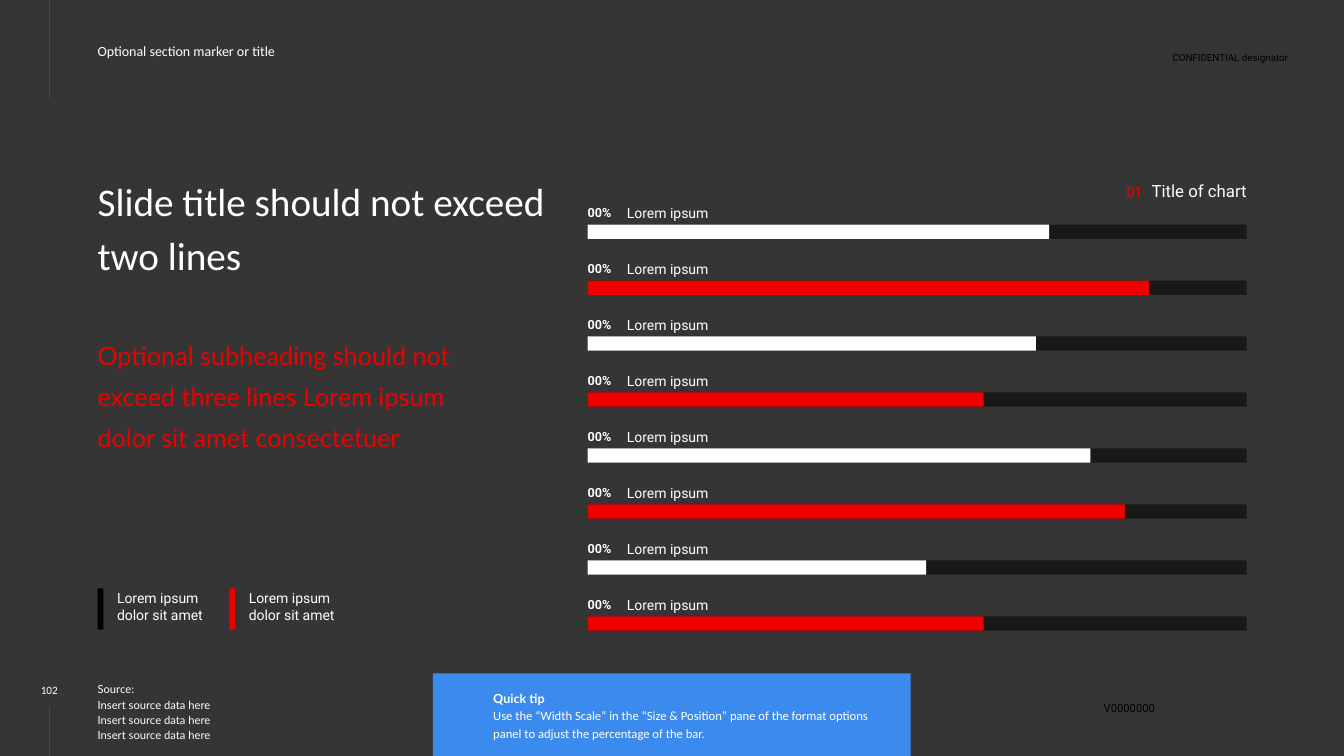
import pptx
import pptx.util
import pptx.dml.color
import pptx.enum.shapes
import pptx.enum.text
import pptx.oxml
import pptx.oxml.ns
import lxml.etree

Cm = pptx.util.Cm
Pt = pptx.util.Pt
RGBColor = pptx.dml.color.RGBColor
ALIGN = pptx.enum.text.PP_ALIGN
ANCHOR = pptx.enum.text.MSO_ANCHOR

BACKGROUND = RGBColor(0x35, 0x35, 0x35)
TRACK = RGBColor(0x19, 0x19, 0x19)
RULE = RGBColor(0x4A, 0x4A, 0x4A)
RED = RGBColor(0xEE, 0x00, 0x00)
BLUE = RGBColor(0x3C, 0x8F, 0xF7)
WHITE = RGBColor(0xFF, 0xFF, 0xFF)
BLACK = RGBColor(0x00, 0x00, 0x00)

deck = pptx.Presentation()
deck.slide_width, deck.slide_height = Cm(33.87), Cm(19.05)
page = deck.slides.add_slide(deck.slide_layouts[5])
page.background.fill.solid()
page.background.fill.fore_color.rgb = BACKGROUND


def write(place, text, size, font="Roboto", color=WHITE, bold=False, align=ALIGN.LEFT,
          anchor=ANCHOR.MIDDLE, spacing=1.0, insets=(0, 0, 0, 0), box=None):
    """Fill a box, by default a new text box, with one paragraph per line of text."""
    left, top, width, height = [Cm(length) for length in place]
    if box is None:
        box = page.shapes.add_textbox(left, top, width, height)
    box.left, box.top, box.width, box.height = left, top, width, height
    frame = box.text_frame
    frame.word_wrap = True
    frame.auto_size = pptx.enum.text.MSO_AUTO_SIZE.NONE
    frame.vertical_anchor = anchor
    (frame.margin_left, frame.margin_top,
     frame.margin_right, frame.margin_bottom) = [Cm(inset) for inset in insets]
    frame.text = text
    for para in frame.paragraphs:
        para.alignment = align
        para.line_spacing = spacing
        para.font.name, para.font.size = font, Pt(size)
        para.font.bold, para.font.color.rgb = bold, color
    return box


def add_bar(left, top, width, height, color):
    bar = page.shapes.add_shape(pptx.enum.shapes.MSO_SHAPE.RECTANGLE,
                                Cm(left), Cm(top), Cm(width), Cm(height))
    bar.shadow.inherit = False
    bar.fill.solid()
    bar.fill.fore_color.rgb = color
    bar.line.fill.background()
    return bar


# Margin rules
for start, end in ((0, 2.46), (17.78, 19.05)):
    rule = page.shapes.add_connector(pptx.enum.shapes.MSO_CONNECTOR.STRAIGHT,
                                     Cm(1.24), Cm(start), Cm(1.24), Cm(end))
    rule.line.color.rgb = RULE
    rule.line.width = Pt(0.75)
    lxml.etree.SubElement(rule._element.spPr, pptx.oxml.ns.qn("a:effectLst"))

# Header and footer
write((26.87, 0.76, 5.59, 0.84), "CONFIDENTIAL designator", 7, color=BLACK,
      align=ALIGN.RIGHT, anchor=ANCHOR.BOTTOM, spacing=1.5)
write((27.08, 17.53, 2.03, 0.64), "V0000000", 8, color=BLACK, align=ALIGN.RIGHT)
write((2.46, 0.15, 13.08, 2.26), "Optional section marker or title", 10, "Calibri")
write((0.23, 17.15, 2.03, 0.41), "102", 8, "Calibri", align=ALIGN.CENTER, anchor=ANCHOR.BOTTOM)
write((2.46, 17.15, 8, 1.55), "\n".join(["Source:"] + ["Insert source data here"] * 3), 8, "Lato",
      anchor=ANCHOR.BOTTOM, spacing=1.15)

# Title and subheading
write((2.46, 4.29, 11.43, 3.58), "Slide title should not exceed two lines", 28, "Calibri",
      anchor=ANCHOR.TOP, spacing=1.15, box=page.shapes.title)
write((2.46, 8.31, 9.14, 3.07),
      "Optional subheading should not exceed three lines Lorem ipsum dolor sit amet consectetuer",
      18, "Lato", RED, anchor=ANCHOR.TOP, spacing=1.35)

# Chart heading
heading = write((14.81, 4.6, 16.61, 0.41), "", 12, align=ALIGN.RIGHT)
para = heading.text_frame.paragraphs[0]
for text, size, color in (("01", 10, RED), (" ", 9, WHITE), ("Title of chart", 12, WHITE)):
    span = para.add_run()
    span.text = text
    span.font.size = Pt(size)
    span.font.color.rgb = color
    if text == " ":
        span._r.get_or_add_rPr().set("spc", "450")

# Percentage bars, alternately white and red
BAR_LEFT, FULL_WIDTH, ROW_STEP = 14.81, 16.61, 1.41
bar_widths = (11.63, 14.15, 11.3, 9.98, 12.67, 13.54, 8.53, 9.98)
for row, bar_width in enumerate(bar_widths):
    label_top = 5.16 + row * ROW_STEP
    bar_top = label_top + 0.5
    write((BAR_LEFT, label_top, 0.89, 0.41), "00%", 9, bold=True)
    write((15.8, label_top, 15.62, 0.41), "Lorem ipsum", 10)
    add_bar(BAR_LEFT, bar_top, FULL_WIDTH, 0.36, TRACK)
    add_bar(BAR_LEFT, bar_top, bar_width, 0.36, RED if row % 2 else WHITE)

# Legend
for left, color in ((2.46, BLACK), (5.78, RED)):
    add_bar(left, 14.83, 0.15, 1.04, color)
    write((left + 0.49, 14.86, 2.54, 1.02), "Lorem ipsum dolor sit amet", 10, anchor=ANCHOR.TOP)

# Quick tip
tip_place = (10.91, 16.97, 12.04, 2.08)
tip = add_bar(*tip_place, BLUE)
tip_color = tip._element.spPr.find(".//" + pptx.oxml.ns.qn("a:srgbClr"))
lxml.etree.SubElement(tip_color, pptx.oxml.ns.qn("a:alpha"), val="96000")
write(tip_place,
      "Quick tip\nUse the “Width Scale” in the “Size & Position” pane of the format options "
      "panel to adjust the percentage of the bar.",
      9, "Calibri", spacing=1.15, insets=(1.52, 0.25, 0.76, 0.25), box=tip)
tip_heading = tip.text_frame.paragraphs[0]
tip_heading.font.name, tip_heading.font.bold = "Lato", True

deck.save("out.pptx")
